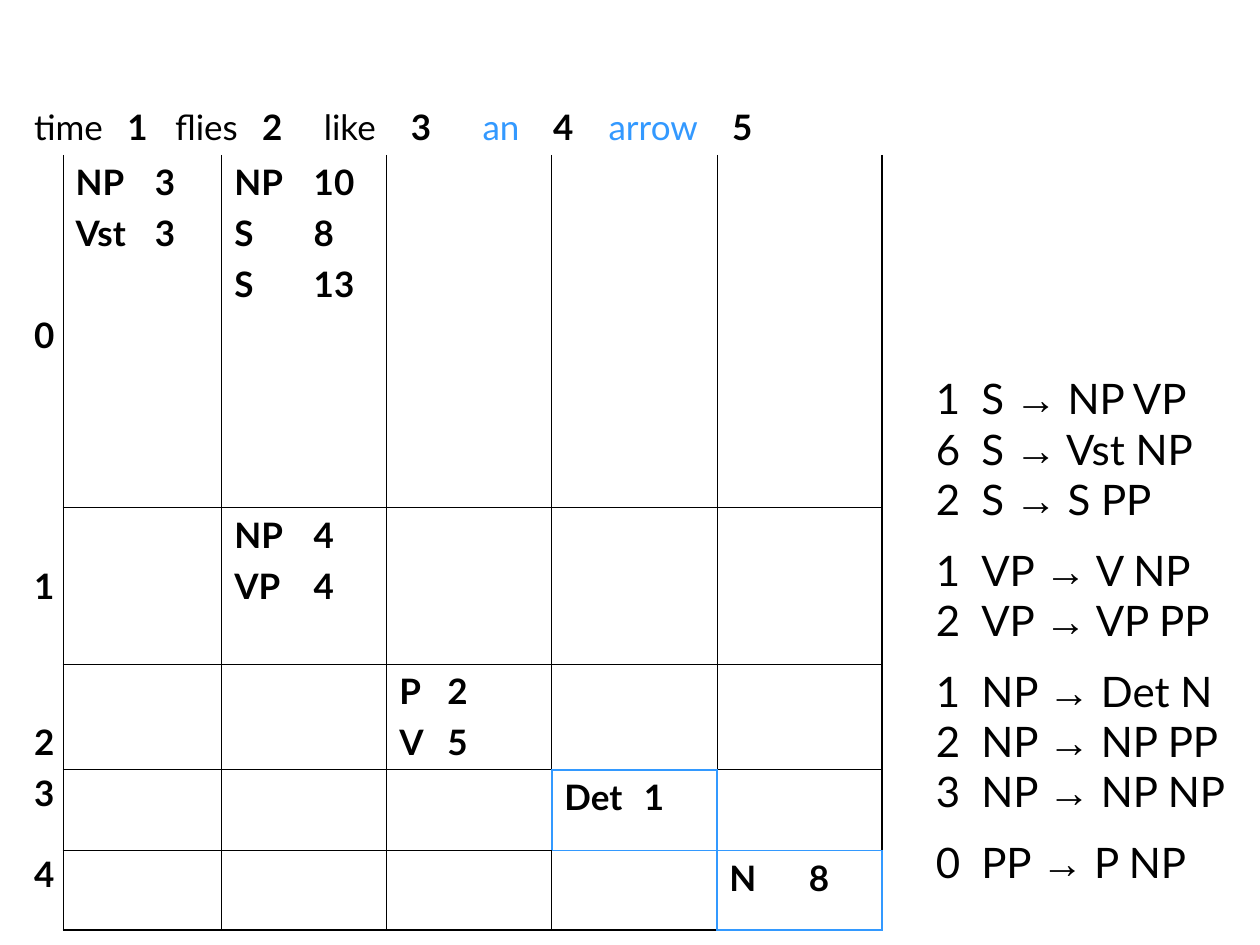
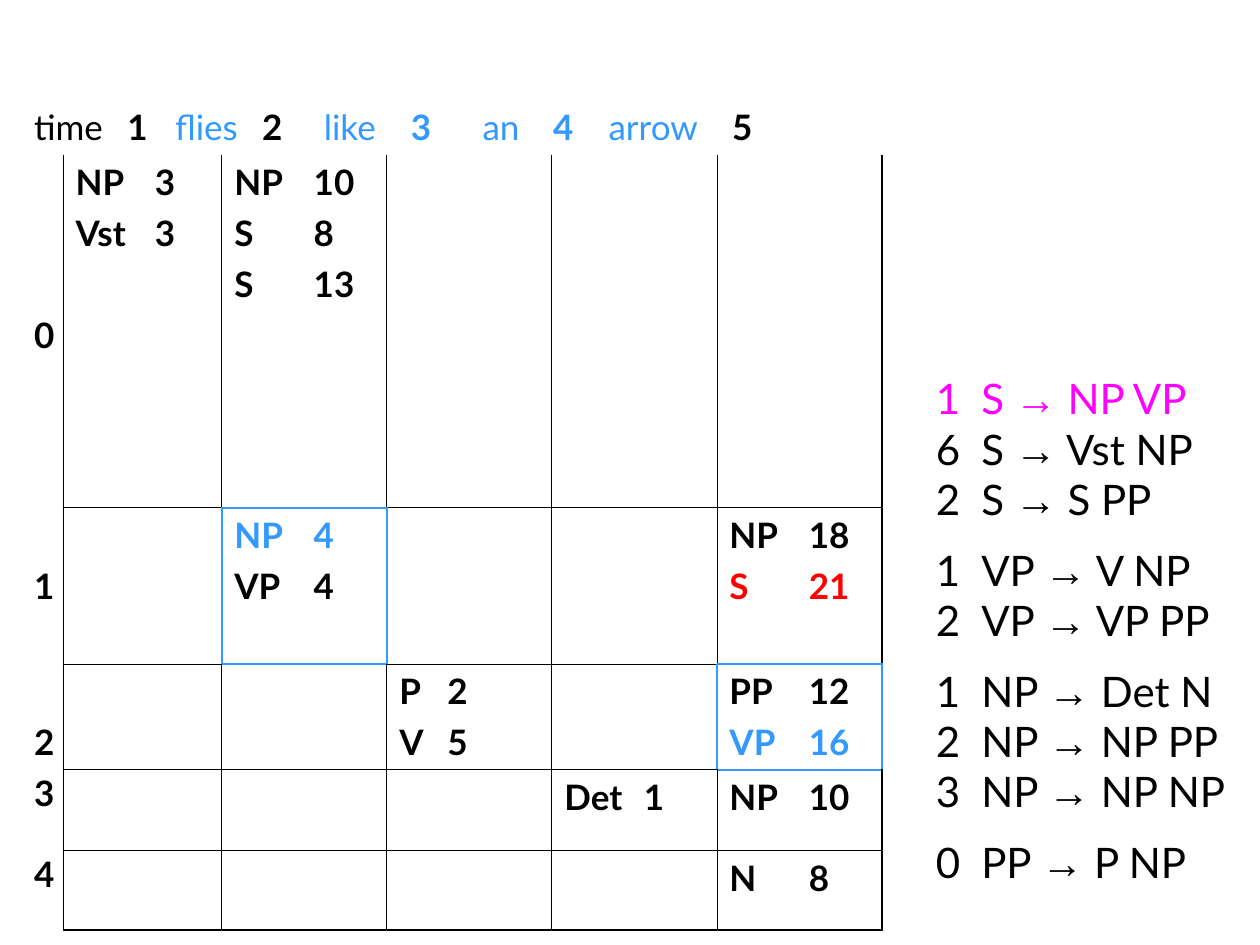
"""Build two steps of a weighted chart parse of one short sentence."""
from dataclasses import dataclass, field
from typing import NamedTuple, Optional

from lxml import etree
from pptx import Presentation
from pptx import util as u
from pptx.dml.color import RGBColor
from pptx.enum import text
from pptx.oxml import ns


@dataclass(frozen=True)
class Theme:
    """Colours, fonts, type sizes and line widths."""
    black: str = "000000"
    blue: str = "3399FF"
    red: str = "FF0000"
    magenta: str = "FF00FF"
    font: str = "Lato"
    arrow_font: str = "Arial"
    chart_size: int = 20
    rule_size: int = 24
    thin: float = 0.45
    heavy: float = 1.08


THEME = Theme()


class Entry(NamedTuple):
    """A constituent with its weight."""
    symbol: str
    weight: int
    color: str = THEME.black


class Rule(NamedTuple):
    """A weighted grammar rule."""
    weight: int
    left: str
    right: str


class Token(NamedTuple):
    """A word or a position number of the sentence, with its offset."""
    label: str
    offset: float


class Label(NamedTuple):
    """A row label with the spacing that lowers it in its cell."""
    line_spacing: float
    margin_top: float = 0.05


class Edge(NamedTuple):
    """A cell border."""
    color: str
    width: float


Position = tuple[int, int]


@dataclass
class Step:
    """One state of the parse chart."""
    entries: dict[Position, list[Entry]]
    blue_tokens: set[str]
    active_cells: set[Position]
    active_rule: Optional[Rule] = None


@dataclass(frozen=True)
class Grid:
    """Place and sizes of the parse chart."""
    left: float = 0.17
    top: float = 0.79
    columns: list[float] = field(default_factory=lambda: [0.33, 1.26] + [1.31] * 4)
    rows: list[float] = field(default_factory=lambda: [0.44, 2.8, 1.24, 0.84, 0.64, 0.63])


GRID = Grid()
SPAN = 5
SENTENCE = [
    Token("time", 0), Token("1", 0.74), Token("flies", 1.12), Token("2", 1.81),
    Token("like", 2.3), Token("3", 2.99), Token("an", 3.56), Token("4", 4.12),
    Token("arrow", 4.56), Token("5", 5.54),
]
LABELS = [Label(1, 1.26), Label(2.2), Label(2.2), Label(0.9), Label(0.9)]
RULE_GROUPS = [
    [Rule(1, "S", "NP VP"), Rule(6, "S", "Vst NP"), Rule(2, "S", "S PP")],
    [Rule(1, "VP", "V NP"), Rule(2, "VP", "VP PP")],
    [Rule(1, "NP", "Det N"), Rule(2, "NP", "NP PP"), Rule(3, "NP", "NP NP")],
    [Rule(0, "PP", "P NP")],
]
SHARED_ENTRIES = {
    (0, 0): [Entry("NP", 3), Entry("Vst", 3)],
    (0, 1): [Entry("NP", 10), Entry("S", 8), Entry("S", 13)],
    (1, 1): [Entry("NP", 4), Entry("VP", 4)],
    (2, 2): [Entry("P", 2), Entry("V", 5)],
    (3, 3): [Entry("Det", 1)],
    (4, 4): [Entry("N", 8)],
}
STEPS = [
    Step(SHARED_ENTRIES, {"an", "arrow"}, {(3, 3), (4, 4)}),
    Step(
        SHARED_ENTRIES | {
            (1, 1): [Entry("NP", 4, THEME.blue), Entry("VP", 4)],
            (1, 4): [Entry("NP", 18), Entry("S", 21, THEME.red)],
            (2, 4): [Entry("PP", 12), Entry("VP", 16, THEME.blue)],
            (3, 4): [Entry("NP", 10)],
        },
        {"flies", "like", "3", "an", "4", "arrow"},
        {(1, 1), (2, 4)},
        RULE_GROUPS[0][0],
    ),
]
SIDES = {"L": (0, -1), "R": (0, 1), "T": (-1, 0), "B": (1, 0)}


def add_run(paragraph, content: str, size: int, color: str = THEME.black,
            bold: bool = False, font: str = THEME.font) -> None:
    """Append a formatted run."""
    run = paragraph.add_run()
    run.text = content
    run.font.name = font
    run.font.size = u.Pt(size)
    run.font.bold = bold
    run.font.color.rgb = RGBColor.from_string(color)


def add_tabs(paragraph, offsets: list[float]) -> None:
    """Give a paragraph left tab stops."""
    properties = paragraph._p.get_or_add_pPr()
    tabs = etree.SubElement(properties, ns.qn("a:tabLst"))
    for offset in offsets:
        etree.SubElement(tabs, ns.qn("a:tab"), pos=str(u.Inches(offset)), algn="l")


def next_paragraph(frame, index: int):
    """Return the first paragraph of a frame, or a new one."""
    return frame.add_paragraph() if index else frame.paragraphs[0]


def set_borders(cell, edges: dict[str, Edge]) -> None:
    """Draw the given edges of a cell and clear its other edges and its fill."""
    properties = cell._tc.get_or_add_tcPr()
    for side in SIDES:
        line = etree.SubElement(properties, ns.qn(f"a:ln{side}"))
        if side in edges:
            edge = edges[side]
            line.set("w", str(u.Pt(edge.width)))
            fill = etree.SubElement(line, ns.qn("a:solidFill"))
            etree.SubElement(fill, ns.qn("a:srgbClr"), val=edge.color)
        else:
            etree.SubElement(line, ns.qn("a:noFill"))
    cell.fill.background()


def chart_edges(row: int, column: int, active: set[Position]) -> dict[str, Edge]:
    """Work out the edges of a chart cell from the active cells."""
    edges = {}
    for side, (down, across) in SIDES.items():
        neighbour = (row + down, column + across)
        if (row, column) in active or neighbour in active:
            edges[side] = Edge(THEME.blue, THEME.heavy)
        elif SPAN in neighbour:
            edges[side] = Edge(THEME.black, THEME.heavy)
        elif neighbour[0] >= 0:
            edges[side] = Edge(THEME.black, THEME.thin)
    return edges


def fill_sentence(cell, blue_tokens: set[str]) -> None:
    """Write the sentence with its position numbers."""
    paragraph = cell.text_frame.paragraphs[0]
    add_tabs(paragraph, [token.offset for token in SENTENCE[1:]])
    for index, token in enumerate(SENTENCE):
        color = THEME.blue if token.label in blue_tokens else THEME.black
        add_run(paragraph, ("\t" if index else "") + token.label,
                THEME.chart_size, color, token.label.isdigit())


def fill_label(cell, row: int, label: Label) -> None:
    """Write the start position of a chart row."""
    cell.margin_top = u.Inches(label.margin_top)
    paragraph = cell.text_frame.paragraphs[0]
    paragraph.alignment = text.PP_ALIGN.CENTER
    paragraph.line_spacing = label.line_spacing
    add_run(paragraph, str(row), THEME.chart_size, bold=True)
    set_borders(cell, {"R": Edge(THEME.black, THEME.thin)})


def fill_entries(cell, entries: list[Entry], tab: float) -> None:
    """List the constituents of a chart cell."""
    for index, entry in enumerate(entries):
        paragraph = next_paragraph(cell.text_frame, index)
        add_tabs(paragraph, [tab])
        if index:
            paragraph.space_before = u.Pt(5)
        add_run(paragraph, f"{entry.symbol}\t{entry.weight}",
                THEME.chart_size, entry.color, True)


def add_parse_chart(slide, step: Step) -> None:
    """Add the parse chart as a table."""
    table = slide.shapes.add_table(
        len(GRID.rows), len(GRID.columns), u.Inches(GRID.left), u.Inches(GRID.top),
        u.Inches(sum(GRID.columns)), u.Inches(sum(GRID.rows))).table
    table.first_row = table.horz_banding = False
    for column, width in zip(table.columns, GRID.columns):
        column.width = u.Inches(width)
    for row, height in zip(table.rows, GRID.rows):
        row.height = u.Inches(height)
    for cell in table.rows[0].cells:
        set_borders(cell, {})
    table.cell(0, 0).merge(table.cell(0, SPAN))
    fill_sentence(table.cell(0, 0), step.blue_tokens)
    for row, label in enumerate(LABELS):
        fill_label(table.cell(row + 1, 0), row, label)
        for column in range(SPAN):
            cell = table.cell(row + 1, column + 1)
            tab = 0.38 if column == 2 else 0.63
            fill_entries(cell, step.entries.get((row, column), []), tab)
            set_borders(cell, chart_edges(row, column, step.active_cells))


def add_grammar(slide, active_rule: Optional[Rule]) -> None:
    """Add the weighted grammar beside the chart."""
    frame = slide.shapes.add_textbox(
        u.Inches(7.33), u.Inches(2.91), u.Inches(2.67), u.Inches(4.18)).text_frame
    frame.word_wrap = True
    rules = [(rule, group > 0 and rule is members[0])
             for group, members in enumerate(RULE_GROUPS) for rule in members]
    for index, (rule, opens_group) in enumerate(rules):
        paragraph = next_paragraph(frame, index)
        add_tabs(paragraph, [0.36])
        if opens_group:
            paragraph.line_spacing = 1.4
        color = THEME.magenta if rule == active_rule else THEME.black
        add_run(paragraph, f"{rule.weight}\t{rule.left} ", THEME.rule_size, color)
        add_run(paragraph, "→", THEME.rule_size, color, font=THEME.arrow_font)
        add_run(paragraph, f" {rule.right}", THEME.rule_size, color)


def main() -> None:
    """Build and save the presentation."""
    presentation = Presentation()
    presentation.slide_width = u.Inches(10)
    presentation.slide_height = u.Inches(7.5)
    for step in STEPS:
        slide = presentation.slides.add_slide(presentation.slide_layouts[6])
        add_parse_chart(slide, step)
        add_grammar(slide, step.active_rule)
    presentation.save("out.pptx")


if __name__ == "__main__":
    main()
